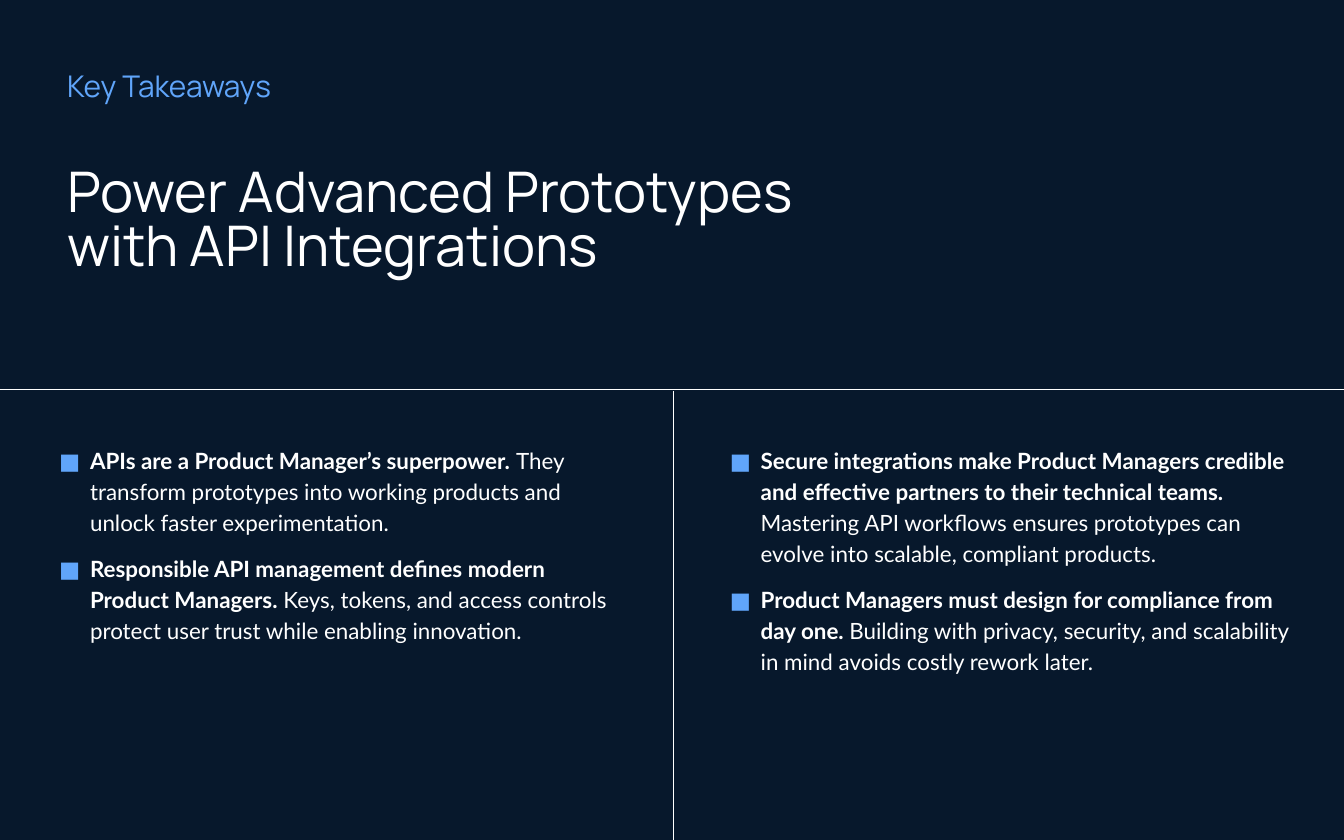
from lxml import etree
from pptx import Presentation
from pptx.dml.color import RGBColor
from pptx.enum import shapes, text
from pptx.oxml import ns
from pptx.util import Inches, Pt

COLORS = {"background": "07182C", "text": "FFFFFF", "accent": "60A5FA"}
KICKER = "Key Takeaways"
HEADLINE = "Power Advanced Prototypes\vwith API Integrations"
# Each column is a list of (bold claim, explanation)
COLUMNS = [
    [("APIs are a Product Manager’s superpower. ",
      "They transform prototypes into working products and unlock faster experimentation."),
     ("Responsible API management defines modern Product Managers. ",
      "Keys, tokens, and access controls protect user trust while enabling innovation.")],
    [("Secure integrations make Product Managers credible and effective partners to their technical teams. ",
      "Mastering API workflows ensures prototypes can evolve into scalable, compliant products."),
     ("Product Managers must design for compliance from day one. ",
      "Building with privacy, security, and scalability in mind avoids costly rework later.")],
]
WIDTH, HEIGHT = 10, 6.25
DIVIDER_Y, DIVIDER_X = 2.9, 5.01
COLUMN_LEFTS, COLUMN_WIDTH, COLUMN_HEIGHT = (0.02, DIVIDER_X), 4.99, 2.63


def rgb(name):
    return RGBColor.from_string(COLORS[name])


def set_values(target, values):
    for name, value in values.items():
        setattr(target, name, value)


def set_font(font, face, size, color):
    set_values(font, {"name": face, "size": Pt(size), "bold": False})
    font.color.rgb = rgb(color)


def place(shape, left, top, width, height, inset, anchor):
    set_values(shape, {"left": Inches(left), "top": Inches(top),
                       "width": Inches(width), "height": Inches(height)})
    frame = shape.text_frame
    set_values(frame, {"word_wrap": True, "auto_size": text.MSO_AUTO_SIZE.NONE,
                       "vertical_anchor": anchor})
    set_values(frame, {f"margin_{side}": Inches(inset)
                       for side in ("left", "right", "top", "bottom")})
    return frame


def add_heading(shape, wording, box, size, color, spacing):
    frame = place(shape, *box, 0, text.MSO_ANCHOR.MIDDLE)
    frame.text = wording
    paragraph = frame.paragraphs[0]
    set_values(paragraph, {"alignment": text.PP_ALIGN.LEFT, "line_spacing": spacing})
    for run in paragraph.runs:
        set_font(run.font, "Manrope", size, color)


def add_bullet(paragraph):
    """Give the paragraph a hanging square bullet in the accent colour."""
    props = paragraph._p.get_or_add_pPr()
    props.set("marL", str(Inches(0.25)))
    props.set("indent", str(Inches(-0.23)))
    color = etree.SubElement(props, ns.qn("a:buClr"))
    etree.SubElement(color, ns.qn("a:srgbClr"), val=COLORS["accent"])
    etree.SubElement(props, ns.qn("a:buFont"), typeface="Lato")
    etree.SubElement(props, ns.qn("a:buChar"), char="■")


def fill_column(shape, left, takeaways):
    frame = place(shape, left, DIVIDER_Y, COLUMN_WIDTH, COLUMN_HEIGHT,
                  0.4, text.MSO_ANCHOR.TOP)
    for i, (claim, explanation) in enumerate(takeaways):
        paragraph = frame.add_paragraph() if i else frame.paragraphs[0]
        add_bullet(paragraph)
        set_values(paragraph, {"alignment": text.PP_ALIGN.LEFT, "line_spacing": 1.15,
                               "space_before": Pt(8 if i else 0)})
        for wording, bold in ((claim, True), (explanation, False)):
            run = paragraph.add_run()
            run.text = wording
            set_font(run.font, "Lato", 12, "text")
            run.font.bold = bold


def add_divider(slide, *ends):
    divider = slide.shapes.add_connector(shapes.MSO_CONNECTOR.STRAIGHT, *map(Inches, ends))
    divider.line.color.rgb = rgb("text")
    divider.line.width = Pt(0.75)
    etree.SubElement(divider._element.spPr, ns.qn("a:effectLst"))


def main():
    deck = Presentation()
    set_values(deck, {"slide_width": Inches(WIDTH), "slide_height": Inches(HEIGHT)})
    slide = deck.slides.add_slide(deck.slide_layouts.get_by_name("Two Content"))
    slide.background.fill.solid()
    slide.background.fill.fore_color.rgb = rgb("background")

    title, *bodies = slide.placeholders
    for body, left, takeaways in zip(bodies, COLUMN_LEFTS, COLUMNS):
        fill_column(body, left, takeaways)
    add_divider(slide, 0, DIVIDER_Y, WIDTH, DIVIDER_Y)
    add_divider(slide, DIVIDER_X, DIVIDER_Y + 0.01, DIVIDER_X, HEIGHT)

    kicker = slide.shapes.add_textbox(0, 0, 0, 0)
    add_heading(kicker, KICKER, (0.5, 0.5, 4, 0.27), 16, "accent", 1.0)
    add_heading(title, HEADLINE, (0.5, 1.26, 9.02, 0.81), 30, "text", 0.8)
    deck.save("out.pptx")


if __name__ == "__main__":
    main()
